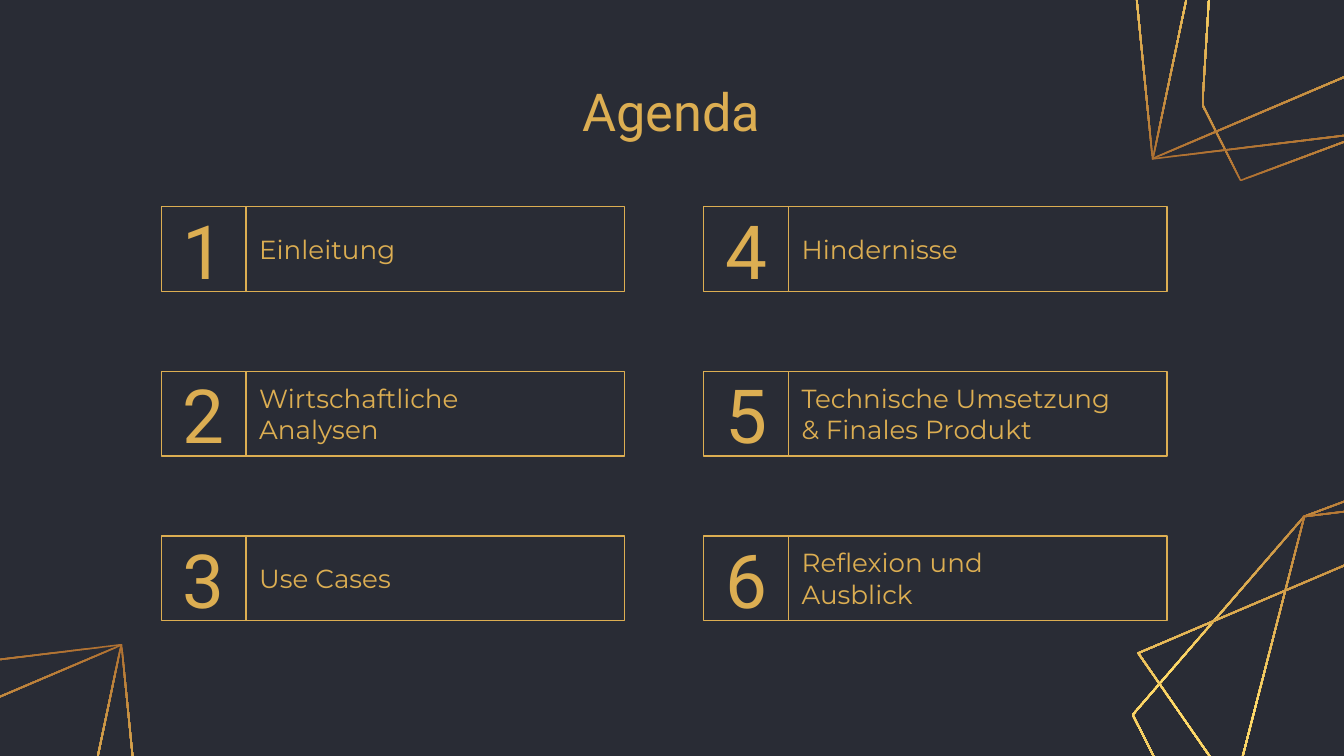
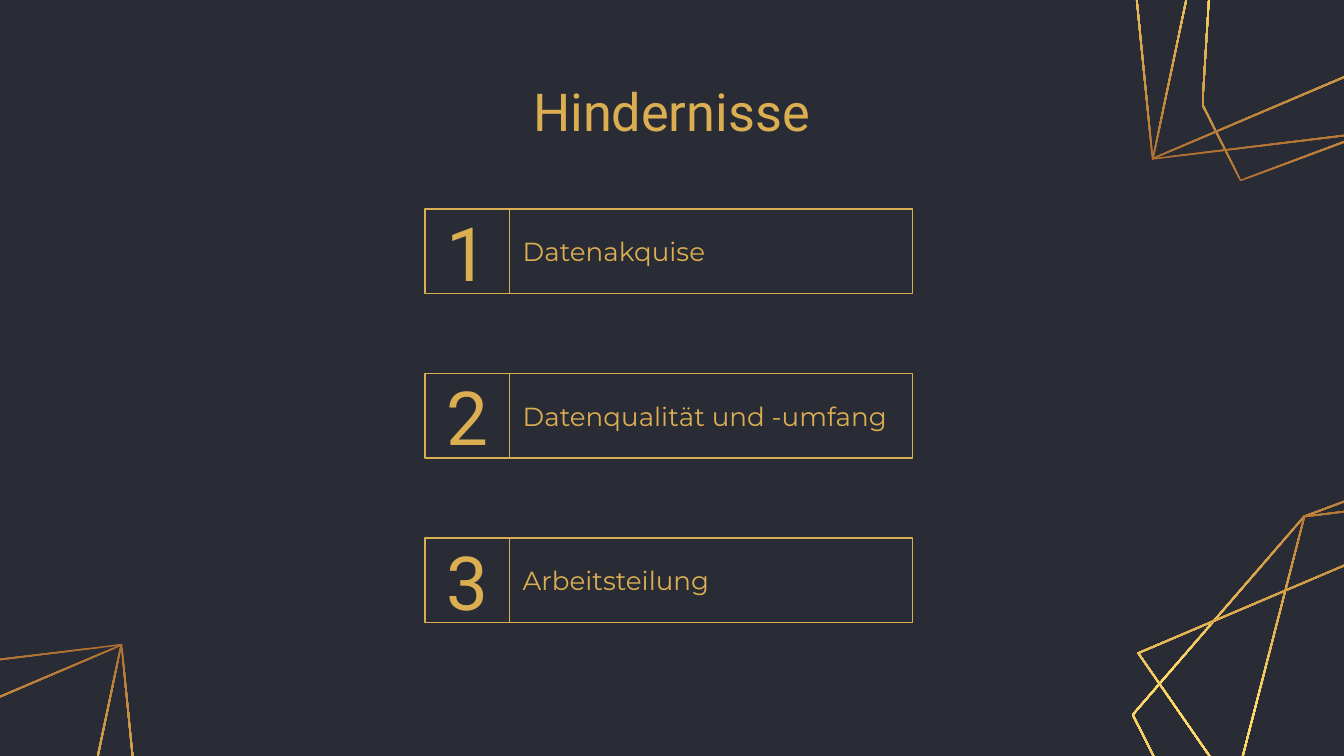
import copy
import math

import pptx
import pptx.dml.color
import pptx.enum.shapes
import pptx.enum.text
import pptx.oxml.ns
import pptx.util
from dataclasses import dataclass

Cm = pptx.util.Cm
Pt = pptx.util.Pt
RGB = pptx.dml.color.RGBColor.from_string
ALIGN = pptx.enum.text.PP_ALIGN
RECT = pptx.enum.shapes.MSO_SHAPE.RECTANGLE


@dataclass(frozen=True)
class Theme:
    dark: str = "292C35"
    gold: str = "DCAE52"
    gradient: tuple = ((0, "AF7132"), (0.5, "FFDD6B"), (1, "DCAE52"))
    head_font: str = "Roboto"
    body_font: str = "Montserrat"
    title_size: int = 28
    number_size: int = 40
    label_size: int = 14
    border: float = 0.75


T = Theme()

# Lengths in cm
SLIDE_W, SLIDE_H = 25.4, 14.29
TITLE_BOX = (5.54, 1.5, 14.3, 1.19)
NUMBER_SIDE = 1.6
ROW_PITCH = 3.11
INSET = 0.25
STROKE = 0.03

# Corners of the crystal facets, clockwise
HEXAGON = [(22.91, 16.51), (21.39, 13.51), (24.64, 9.75),
           (27.08, 8.84), (27.81, 10.29), (27.51, 15.16)]
PENTAGON = [(25.12, 17.55), (22.91, 16.48), (24.64, 9.75),
            (28.75, 9.25), (27.51, 15.16)]
KITE = [(25.12, 17.58), (21.49, 12.34), (28.75, 9.25), (29.08, 12.57)]


def apply(target, values):
    for name, value in values.items():
        setattr(target, name, value)


# Crystal decoration
def half_turn(points):
    return [(50.52 - x, 12.27 - y) for x, y in points]


def to_left_corner(points):
    return [(x - 26.44, y + 2.92) for x, y in points]


def inset(points, width):
    """Move every edge of a clockwise outline inwards."""
    normals = []
    for (x1, y1), (x2, y2) in zip(points, points[1:] + points[:1]):
        length = math.hypot(x2 - x1, y2 - y1)
        normals.append(((y1 - y2) / length, (x2 - x1) / length))
    inner = []
    for i, (x, y) in enumerate(points):
        (ax, ay), (bx, by) = normals[i - 1], normals[i]
        k = width / (1 + ax * bx + ay * by)
        inner.append((x + k * (ax + bx), y + k * (ay + by)))
    return inner


def add_facet(s, points, angle):
    outer = [(Cm(x), Cm(y)) for x, y in points]
    inner = [(Cm(x), Cm(y)) for x, y in reversed(inset(points, STROKE))]
    builder = s.shapes.build_freeform(*outer[0])
    builder.add_line_segments(outer[1:], close=True)
    builder.move_to(*inner[0])
    builder.add_line_segments(inner[1:], close=True)
    sp = builder.convert_to_shape()
    sp.shadow.inherit = False
    sp.line.fill.background()
    # Gradient with a third stop
    sp.fill.gradient()
    sp.fill.gradient_angle = angle
    first = sp.element.find(".//" + pptx.oxml.ns.qn("a:gs"))
    first.addnext(copy.deepcopy(first))
    for stop, (position, color) in zip(sp.fill.gradient_stops, T.gradient):
        stop.position = position
        stop.color.rgb = RGB(color)
    return sp


def add_crystals(s):
    facets = [add_facet(s, f, 270) for f in (HEXAGON, PENTAGON, KITE)]
    facets += [add_facet(s, half_turn(f), 90) for f in (HEXAGON, PENTAGON, KITE)]
    facets += [add_facet(s, to_left_corner(f), 270) for f in (PENTAGON, KITE)]
    return facets


def decorate_layout(layout, s):
    """Give the layout its background and crystals, drawn by way of slide s."""
    for ph in list(layout.placeholders):
        layout.shapes.element.remove(ph.element)
    layout.background.fill.solid()
    layout.background.fill.fore_color.rgb = RGB(T.dark)
    for sp in add_crystals(s):
        layout.shapes.element.append(sp.element)


# Text and cards
def write(sp, lines, font, size, align, margin):
    tf = sp.text_frame
    apply(tf, {"word_wrap": True,
               "vertical_anchor": pptx.enum.text.MSO_ANCHOR.MIDDLE,
               "margin_top": Cm(margin), "margin_bottom": Cm(margin),
               "margin_left": Cm(INSET), "margin_right": Cm(INSET)})
    for i, line in enumerate(lines):
        p = tf.add_paragraph() if i else tf.paragraphs[0]
        p.alignment = align
        r = p.add_run()
        r.text = line
        apply(r.font, {"name": font, "size": Pt(size)})
        r.font.color.rgb = RGB(T.gold)


def add_title(s, text):
    sp = s.shapes.add_textbox(*map(Cm, TITLE_BOX))
    write(sp, [text], T.head_font, T.title_size, ALIGN.CENTER, INSET)


def add_frame(s, left, top, width):
    sp = s.shapes.add_shape(RECT, Cm(left), Cm(top), Cm(width), Cm(NUMBER_SIDE))
    sp.shadow.inherit = False
    sp.line.color.rgb = RGB(T.gold)
    sp.line.width = Pt(T.border)
    return sp


def add_card(s, left, top, label_width, number, lines):
    label = add_frame(s, left + NUMBER_SIDE, top, label_width)
    label.fill.solid()
    label.fill.fore_color.rgb = RGB(T.dark)
    write(label, lines, T.body_font, T.label_size, ALIGN.LEFT, INSET / 2)
    box = add_frame(s, left, top, NUMBER_SIDE)
    box.fill.background()
    write(box, [str(number)], T.head_font, T.number_size, ALIGN.CENTER, INSET)


def add_cards(s, items, lefts, top, label_width, rows=3):
    for i, lines in enumerate(items):
        column, row = divmod(i, rows)
        add_card(s, lefts[column], top + row * ROW_PITCH, label_width, i + 1, lines)


def main():
    prs = pptx.Presentation()
    apply(prs, {"slide_width": Cm(SLIDE_W), "slide_height": Cm(SLIDE_H)})
    blank = prs.slide_layouts[6]

    # Agenda
    s = prs.slides.add_slide(blank)
    decorate_layout(blank, s)
    add_title(s, "Agenda")
    add_cards(s, [["Einleitung"],
                  ["Wirtschaftliche", "Analysen"],
                  ["Use Cases"],
                  ["Hindernisse"],
                  ["Technische Umsetzung", "& Finales Produkt"],
                  ["Reflexion und", "Ausblick"]],
              lefts=(3.05, 13.3), top=3.91, label_width=7.16)

    # Obstacles
    s = prs.slides.add_slide(blank)
    add_title(s, "Hindernisse")
    add_cards(s, [["Datenakquise"],
                  ["Datenqualität und -umfang"],
                  ["Arbeitsteilung"]],
              lefts=(8.03,), top=3.95, label_width=7.62)

    prs.save("out.pptx")


if __name__ == "__main__":
    main()
